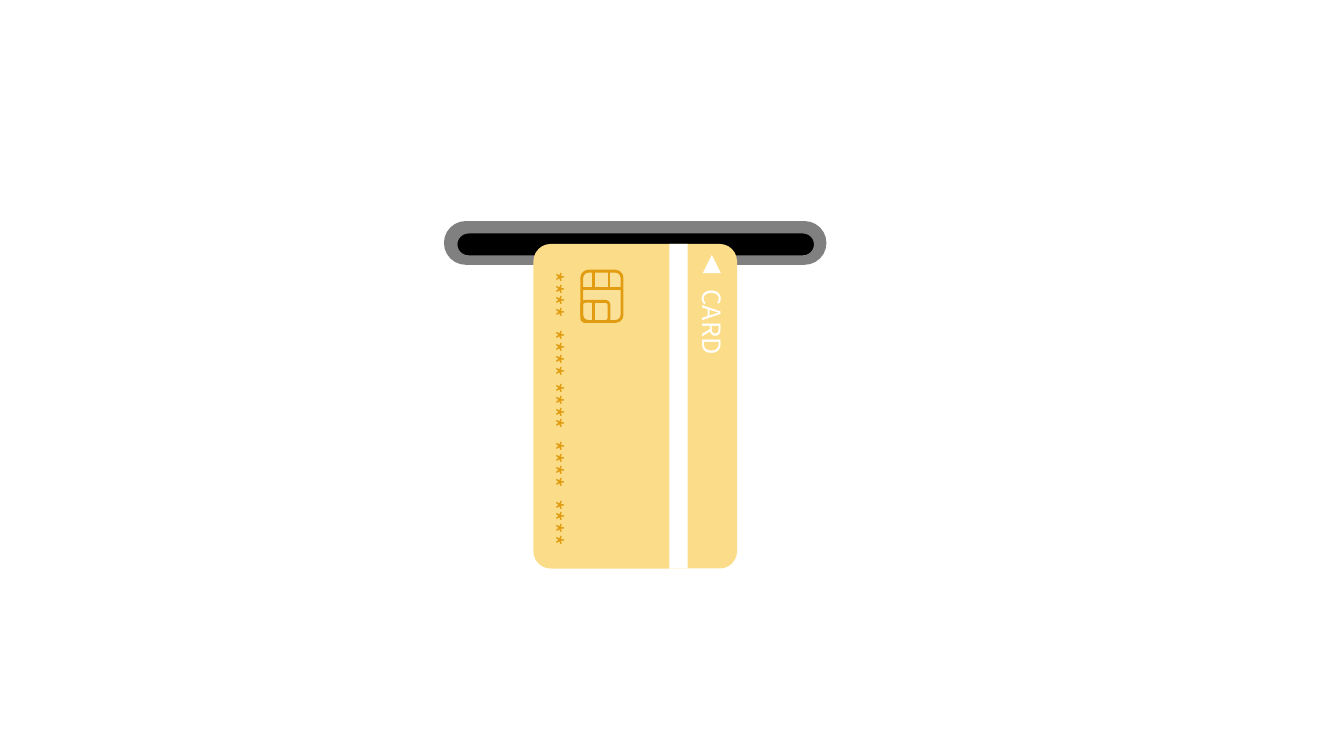
import dataclasses

import lxml.etree
import pptx
import pptx.dml.color
import pptx.enum.shapes
import pptx.enum.text
import pptx.oxml.ns
import pptx.util

Inches = pptx.util.Inches
Kind = pptx.enum.shapes.MSO_SHAPE


@dataclasses.dataclass(frozen=True)
class Theme:
    font: str = "Noto Sans CJK KR"
    text_size: int = 18
    rim: str = "808080"
    slot: str = "000000"
    card: str = "FBDD89"
    chip: str = "FBE197"
    gold: str = "E19C11"
    white: str = "FFFFFF"


theme = Theme()
color = pptx.dml.color.RGBColor.from_string


def add_part(shapes, kind, bounds, fill=None, line=None, width=1, corner=None):
    """Add a preset shape; leave fill or line as None to omit it."""
    part = shapes.add_shape(kind, *map(Inches, bounds))
    part.shadow.inherit = False
    if corner is not None:
        part.adjustments[0] = corner
    if fill:
        part.fill.solid()
        part.fill.fore_color.rgb = color(fill)
    else:
        part.fill.background()
    if line:
        part.line.color.rgb = color(line)
        part.line.width = pptx.util.Pt(width)
    else:
        part.line.fill.background()


deck = pptx.Presentation()
deck.slide_width, deck.slide_height = Inches(13.33), Inches(7.5)
page = deck.slides.add_slide(deck.slide_layouts[6])

# Card slot
slot = page.shapes.add_group_shape()
for bounds, fill in (((4.41, 2.2, 3.78, 0.42), theme.rim),
                     ((4.53, 2.31, 3.55, 0.23), theme.slot)):
    add_part(slot.shapes, Kind.ROUNDED_RECTANGLE, bounds, fill, theme.rim, corner=0.5)

# Card with its stripe and direction mark
card_top, card_height = 2.42, 3.22
add_part(page.shapes, Kind.ROUNDED_RECTANGLE, (5.29, card_top, 2.02, card_height),
         theme.card, corner=0.085)
add_part(page.shapes, Kind.RECTANGLE, (6.64, card_top, 0.18, card_height), theme.white)
add_part(page.shapes, Kind.ISOSCELES_TRIANGLE, (6.97, 2.53, 0.18, 0.18), theme.white)

# Text running down the card
for text, bounds, ink in (
    ("CARD", (6.61, 3.03, 0.91, 0.4), theme.white),
    ("****  **** ****  ****  ****", (3.98, 3.91, 3.03, 0.4), theme.gold),
):
    box = page.shapes.add_textbox(*map(Inches, bounds))
    box.rotation = 90
    box.text_frame.word_wrap = True
    box.text_frame.auto_size = pptx.enum.text.MSO_AUTO_SIZE.SHAPE_TO_FIT_TEXT
    para = box.text_frame.paragraphs[0]
    para.text = text
    para.font.name = theme.font
    para.font.size = pptx.util.Pt(theme.text_size)
    para.font.color.rgb = color(ink)

# Chip and its contacts
chip_left, chip_top, chip_width, chip_height = 5.77, 2.69, 0.4, 0.5
contact_bottom = 2.86
add_part(page.shapes, Kind.ROUNDED_RECTANGLE,
         (chip_left, chip_top, chip_width, chip_height), theme.chip, theme.gold, 2)
for ends in (
    (chip_left, contact_bottom, chip_left + chip_width, contact_bottom),
    (5.89, contact_bottom, 5.89, chip_top),
    (6.04, contact_bottom, 6.04, chip_top),
    (5.89, 3.17, 5.89, 3.01),
):
    contact = page.shapes.add_connector(
        pptx.enum.shapes.MSO_CONNECTOR.STRAIGHT, *map(Inches, ends))
    contact.line.color.rgb = color(theme.gold)
    contact.line.width = pptx.util.Pt(2)
    lxml.etree.SubElement(contact._element.spPr, pptx.oxml.ns.qn("a:effectLst"))
add_part(page.shapes, Kind.ROUNDED_RECTANGLE, (chip_left, 2.99, 0.27, 0.2),
         line=theme.gold, width=2)

deck.save("out.pptx")
